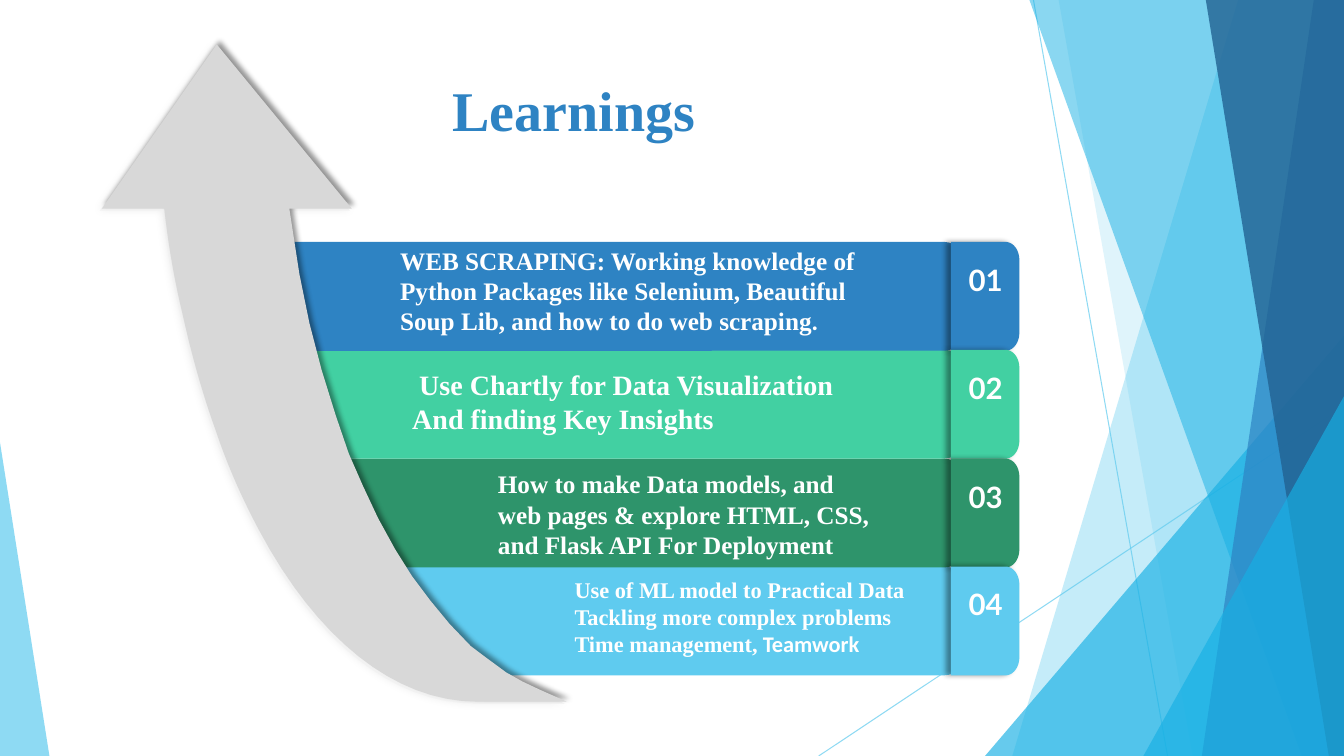
from dataclasses import dataclass

from lxml import etree
from pptx import Presentation
from pptx.dml.color import RGBColor
from pptx.enum.shapes import MSO_CONNECTOR, MSO_SHAPE
from pptx.enum.text import PP_ALIGN
from pptx.oxml.ns import qn
from pptx.shapes.autoshape import Shape
from pptx.slide import Slide
from pptx.util import Pt

STRAIGHT = MSO_CONNECTOR.STRAIGHT
TRIANGLE = MSO_SHAPE.ISOSCELES_TRIANGLE
ROUNDED = MSO_SHAPE.ROUNDED_RECTANGLE
LEFT, CENTER = PP_ALIGN.LEFT, PP_ALIGN.CENTER

PX = 9144
WIDTH, HEIGHT = 1333, 750
SERIF, SANS, BODY = "Times New Roman", "Lato", "Calibri"
WHITE, SKY, CYAN, BLUE, NAVY = "FFFFFF", "5FCBEF", "17B0E4", "2E83C3", "226292"
MINT, GREEN, GREY, PALE = "42D0A2", "2E946B", "D8D8D8", "F2F2F2"
ROW_TOP, ROW_HEIGHT = 240, 108
BAR_RIGHT, TAB_LEFT, TAB_RIGHT = 955, 943, 1011
CURVE_STEPS = 16


@dataclass
class Facet:
    top_left: int
    top_right: int
    bottom_right: int
    bottom_left: int
    color: str
    alpha: int


@dataclass
class Wedge:
    left: int
    top: int
    width: int
    apex: float
    color: str
    alpha: int


@dataclass
class Label:
    left: int
    top: int
    width: int
    height: int
    text: str
    size: int
    font: str = SERIF
    color: str = WHITE
    align: PP_ALIGN = LEFT
    tail: str = ""
    tail_font: str = SERIF


@dataclass
class Row:
    bar_left: int
    color: str
    label: Label


@dataclass
class Shadow:
    alpha: int
    blur: int
    distance: int
    angle: int


RAYS = [(1025, 0, 1158, HEIGHT), (WIDTH, 403, 812, HEIGHT)]
BACK_FACETS = [
    Facet(1228, WIDTH, WIDTH, 1004, SKY, 36),
    Facet(1050, WIDTH, WIDTH, 1183, SKY, 20),
]
FRONT_FACETS = [
    Facet(1021, WIDTH, WIDTH, 1291, CYAN, 50),
    Facet(1303, WIDTH, WIDTH, 1192, BLUE, 70),
    Facet(1196, WIDTH, WIDTH, 1318, NAVY, 80),
]
BACK_WEDGE = Wedge(977, 333, 356, 1, CYAN, 66)
FRONT_WEDGES = [Wedge(1134, 393, 199, 1, CYAN, 66), Wedge(0, 439, 49, 0, SKY, 70)]

ARROW = [
    (215, 44), (101, 207), (163, 207),
    (167, 243, 173, 278, 181, 311), (190, 352, 201, 391, 214, 427),
    (226, 463, 241, 496, 257, 526), (314, 633, 391, 696, 473, 696),
    (562, 696), (535, 684), (518, 676), (502, 667), (483, 653), (467, 641),
    (446, 619), (427, 596), (409, 572), (392, 545), (375, 514), (360, 482),
    (346, 450), (333, 412), (319, 367), (307, 321), (297, 272), (287, 207),
    (349, 207),
]

ROWS = [
    Row(253, BLUE, Label(
        387, 238, 491, 101,
        "WEB SCRAPING: Working knowledge of Python Packages like Selenium, "
        "Beautiful Soup Lib, and how to do web scraping",
        18, tail=".", tail_font=SANS)),
    Row(253, MINT, Label(
        399, 360, 472, 78,
        " Use Chartly for Data Visualization\nAnd finding Key Insights", 20)),
    Row(328, GREEN, Label(
        484, 460, 401, 102,
        "How to make Data models, and web pages & explore HTML, CSS, "
        "and Flask API For Deployment", 18)),
    Row(390, SKY, Label(
        560, 567, 450, 138,
        "Use of ML model to Practical Data\nTackling more complex problems\n"
        "Time management,", 16, tail=" Teamwork", tail_font=BODY)),
]
TITLE = Label(439, 70, 298, 77, "Learnings", 40, color=BLUE)


def rgb(color: str) -> RGBColor:
    """Turn a hex string into a colour."""
    return RGBColor.from_string(color)


def set_alpha(shape, alpha: int) -> None:
    """Make the colours of a shape or connector translucent."""
    for clr in shape._element.spPr.iter(qn("a:srgbClr")):
        etree.SubElement(clr, qn("a:alpha"), val=str(alpha * 1000))


def paint(sp: Shape, color: str, alpha: int = 100, shadow: Shadow | None = None) -> None:
    """Give a shape a plain fill, no line and an optional shadow."""
    sp.fill.solid()
    sp.fill.fore_color.rgb = rgb(color)
    sp.line.fill.background()
    if alpha < 100:
        set_alpha(sp, alpha)
    sp.shadow.inherit = False
    if shadow:
        effects = sp._element.spPr.find(qn("a:effectLst"))
        outer = etree.SubElement(
            effects, qn("a:outerShdw"), blurRad=str(Pt(shadow.blur)),
            dist=str(Pt(shadow.distance)), dir=str(shadow.angle * 60000),
            algn="ctr", rotWithShape="0")
        clr = etree.SubElement(outer, qn("a:srgbClr"), val="000000")
        etree.SubElement(clr, qn("a:alpha"), val=str(shadow.alpha * 1000))


def flatten(path: list[tuple]) -> list[tuple]:
    """Replace each cubic curve of a path by short straight steps."""
    points = []
    for step in path:
        if len(step) == 2:
            points.append(step)
            continue
        nodes = [points[-1], step[:2], step[2:4], step[4:]]
        for i in range(1, CURVE_STEPS + 1):
            t = i / CURVE_STEPS
            weights = ((1 - t) ** 3, 3 * t * (1 - t) ** 2, 3 * t * t * (1 - t), t ** 3)
            points.append(tuple(sum(w * n[k] for w, n in zip(weights, nodes))
                                for k in (0, 1)))
    return points


def add_outline(s: Slide, path: list[tuple], dx: int = 0, dy: int = 0) -> Shape:
    """Add a closed outline, moved by dx and dy."""
    points = [(round((x + dx) * PX), round((y + dy) * PX)) for x, y in flatten(path)]
    builder = s.shapes.build_freeform(*points[0])
    builder.add_line_segments(points[1:], close=True)
    return builder.convert_to_shape()


def add_preset(s: Slide, kind: MSO_SHAPE, box: tuple, adjustment: float) -> Shape:
    """Add a preset shape with one adjustment."""
    sp = s.shapes.add_shape(kind, *(v * PX for v in box))
    sp.adjustments[0] = adjustment
    return sp


def add_ray(s: Slide, ends: tuple) -> None:
    """Add a thin translucent line."""
    line = s.shapes.add_connector(STRAIGHT, *(v * PX for v in ends))
    line.line.color.rgb = rgb(SKY)
    line.line.width = Pt(0.75)
    set_alpha(line, 70)
    etree.SubElement(line._element.spPr, qn("a:effectLst"))


def add_facet(s: Slide, f: Facet) -> None:
    """Add a full-height translucent facet."""
    corners = [(f.top_left, 0), (f.top_right, 0),
               (f.bottom_right, HEIGHT), (f.bottom_left, HEIGHT)]
    paint(add_outline(s, corners), f.color, f.alpha)


def add_wedge(s: Slide, w: Wedge) -> None:
    """Add a triangle that stands on the bottom edge."""
    box = (w.left, w.top, w.width, HEIGHT - w.top)
    paint(add_preset(s, TRIANGLE, box, w.apex), w.color, w.alpha)


def add_tab(s: Slide, top: int, color: str) -> None:
    """Add a number tab with rounded right corners."""
    bottom, x = top + ROW_HEIGHT, TAB_RIGHT
    path = [(TAB_LEFT, top), (x - 14, top), (x - 6, top, x, top + 8, x, top + 18),
            (x, bottom - 18), (x, bottom - 8, x - 6, bottom, x - 14, bottom),
            (TAB_LEFT, bottom)]
    paint(add_outline(s, path), color, shadow=Shadow(40, 4, 3, 180))


def add_label(s: Slide, label: Label) -> None:
    """Add a bold text box."""
    box = (label.left, label.top, label.width, label.height)
    tf = s.shapes.add_textbox(*(v * PX for v in box)).text_frame
    tf.word_wrap = True
    tf.text = label.text
    if label.tail:
        tf.paragraphs[-1].add_run().text = label.tail
    for p in tf.paragraphs:
        p.alignment = label.align
        for r in p.runs:
            r.font.name = label.font
            r.font.size = Pt(label.size)
            r.font.bold = True
            r.font.color.rgb = rgb(label.color)
    if label.tail:
        tf.paragraphs[-1].runs[-1].font.name = label.tail_font


def main() -> None:
    """Build the slide and save it."""
    prs = Presentation()
    prs.slide_width, prs.slide_height = WIDTH * PX, HEIGHT * PX
    s = prs.slides.add_slide(prs.slide_layouts[6])
    for ends in RAYS:
        add_ray(s, ends)
    for facet in BACK_FACETS:
        add_facet(s, facet)
    add_wedge(s, BACK_WEDGE)
    for facet in FRONT_FACETS:
        add_facet(s, facet)
    for wedge in FRONT_WEDGES:
        add_wedge(s, wedge)

    tops = [ROW_TOP + i * 215 // 2 for i in range(len(ROWS))]
    paint(add_outline(s, ARROW, -2, 2), PALE, shadow=Shadow(8, 6, 0, 0))
    for row, top in reversed(list(zip(ROWS, tops))):
        box = (row.bar_left, top, BAR_RIGHT - row.bar_left, ROW_HEIGHT)
        paint(add_preset(s, ROUNDED, box, 0.17), row.color)
    paint(add_outline(s, ARROW), GREY, shadow=Shadow(40, 4, 3, 315))
    for row, top in zip(ROWS, tops):
        add_tab(s, top, row.color)
    for number, (row, top) in enumerate(zip(ROWS, tops), 1):
        add_label(s, row.label)
        add_label(s, Label(935, top + 15, 85, 73, f"{number:02}", 21, SANS, align=CENTER))
    add_label(s, TITLE)
    prs.save("out.pptx")


if __name__ == "__main__":
    main()
